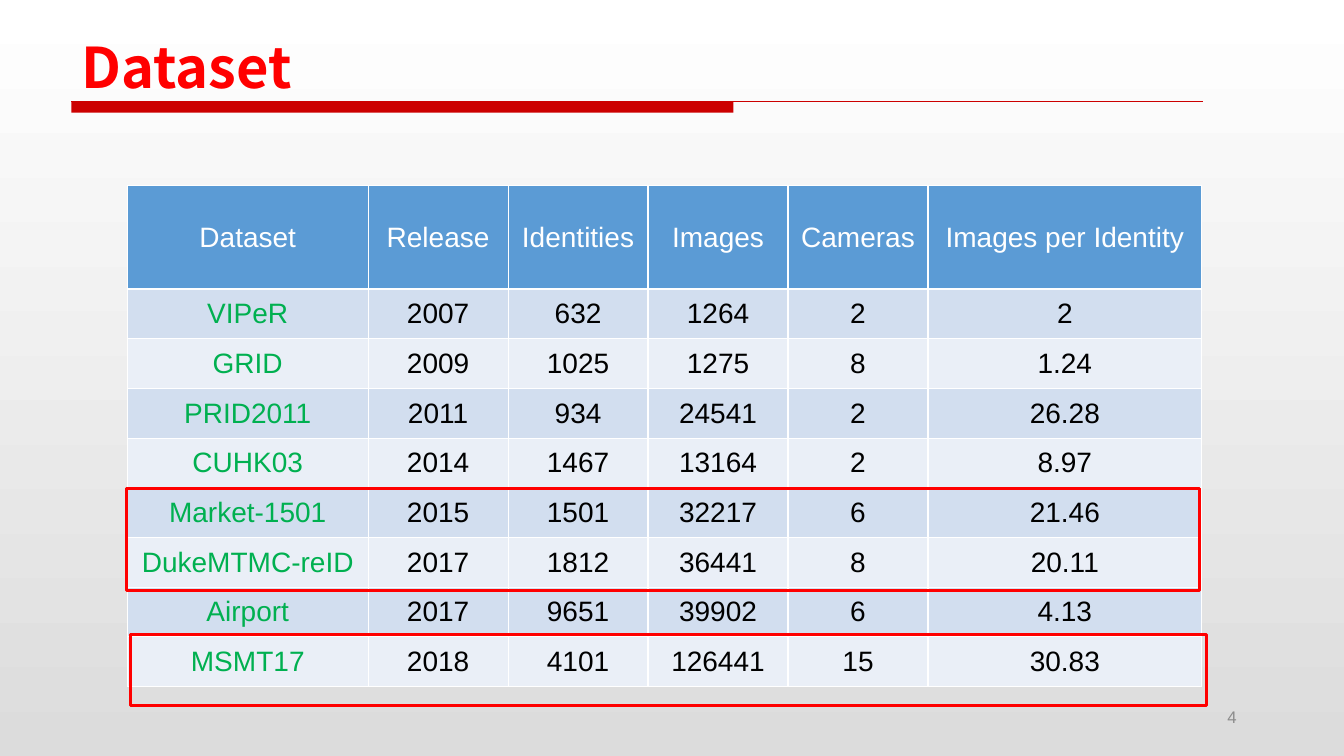
from pptx import Presentation
from pptx.dml.color import RGBColor
from pptx.enum.shapes import MSO_CONNECTOR as Connector, MSO_SHAPE as Shape
from pptx.enum.text import MSO_ANCHOR as Anchor, PP_ALIGN as Align
from pptx.oxml.ns import qn
from pptx.util import Pt
from lxml.etree import SubElement

COLORS = {
    "top": "FFFFFF", "bottom": "DCDCDC", "divider": "CC0000", "accent": "FF0000",
    "header": "5B9BD5", "odd": "D2DEEF", "even": "EAEFF7", "name": "00B050",
    "value": "000000", "header_text": "FFFFFF", "number": "8C8C8C",
}
TITLE = {"name": "Noto Sans CJK SC", "size": Pt(40), "bold": True}
NUMBER = {"name": "Arial", "size": Pt(12), "bold": False}
CELL = {"name": "Arial", "size": Pt(20), "bold": False}
COLUMN_WIDTHS = [172, 100, 100, 100, 100, 195.5]
HEADER_HEIGHT, ROW_HEIGHT = 74, 35.5
ROWS = [
    ["Dataset", "Release", "Identities", "Images", "Cameras", "Images per Identity"],
    ["VIPeR", "2007", "632", "1264", "2", "2"],
    ["GRID", "2009", "1025", "1275", "8", "1.24"],
    ["PRID2011", "2011", "934", "24541", "2", "26.28"],
    ["CUHK03", "2014", "1467", "13164", "2", "8.97"],
    ["Market-1501", "2015", "1501", "32217", "6", "21.46"],
    ["DukeMTMC-reID", "2017", "1812", "36441", "8", "20.11"],
    ["Airport", "2017", "9651", "39902", "6", "4.13"],
    ["MSMT17", "2018", "4101", "126441", "15", "30.83"],
]


def color(key):
    """Return the named colour."""
    return RGBColor.from_string(COLORS[key])


def write(frame, text, font_format, color_key, align, spacing=1.0):
    """Fill a text frame with one formatted paragraph."""
    paragraph = frame.paragraphs[0]
    paragraph.alignment = align
    paragraph.line_spacing = spacing
    run = paragraph.add_run()
    run.text = text
    for attribute, value in font_format.items():
        setattr(run.font, attribute, value)
    run.font.color.rgb = color(color_key)


def paint_background(slide):
    """Shade the slide from top to bottom."""
    fill = slide.background.fill
    fill.gradient()
    fill.gradient_angle = 270
    for stop, key in zip(fill.gradient_stops, ("top", "bottom")):
        stop.color.rgb = color(key)


def add_text(slide, box, anchor, *content):
    """Add a wrapped text box."""
    frame = slide.shapes.add_textbox(*map(Pt, box)).text_frame
    frame.word_wrap = True
    frame.vertical_anchor = anchor
    write(frame, *content)


def add_bar(slide, box):
    """Add a solid divider bar."""
    bar = slide.shapes.add_shape(Shape.RECTANGLE, *map(Pt, box))
    bar.shadow.inherit = False
    bar.fill.solid()
    bar.fill.fore_color.rgb = color("divider")
    bar.line.fill.background()


def add_rule(slide, left, right, top):
    """Add a thin horizontal divider line."""
    rule = slide.shapes.add_connector(
        Connector.STRAIGHT, Pt(left), Pt(top), Pt(right), Pt(top))
    rule.line.color.rgb = color("divider")
    rule.line.width = Pt(0.75)
    SubElement(rule.element.spPr, qn("a:effectLst"))


def add_highlight(slide, box):
    """Add an unfilled red frame."""
    frame = slide.shapes.add_shape(Shape.RECTANGLE, *map(Pt, box))
    frame.shadow.inherit = False
    frame.fill.background()
    frame.line.color.rgb = color("accent")
    frame.line.width = Pt(2.25)


def add_dataset_table(slide, left, top):
    """Add the table of datasets with banded rows."""
    height = HEADER_HEIGHT + ROW_HEIGHT * (len(ROWS) - 1)
    table = slide.shapes.add_table(
        len(ROWS), len(COLUMN_WIDTHS), Pt(left), Pt(top),
        Pt(sum(COLUMN_WIDTHS)), Pt(height)).table
    for column, width in zip(table.columns, COLUMN_WIDTHS):
        column.width = Pt(width)
    for row_index, texts in enumerate(ROWS):
        is_header = row_index == 0
        table.rows[row_index].height = Pt(HEADER_HEIGHT if is_header else ROW_HEIGHT)
        band = "header" if is_header else "odd" if row_index % 2 else "even"
        for column_index, text in enumerate(texts):
            cell = table.cell(row_index, column_index)
            cell.vertical_anchor = Anchor.MIDDLE
            cell.fill.solid()
            cell.fill.fore_color.rgb = color(band)
            body = "value" if column_index else "name"
            write(cell.text_frame, text, CELL,
                  "header_text" if is_header else body, Align.CENTER)


def main():
    """Build and save the dataset slide."""
    presentation = Presentation()
    presentation.slide_width, presentation.slide_height = Pt(960), Pt(540)
    slide = presentation.slides.add_slide(presentation.slide_layouts[6])
    paint_background(slide)
    add_text(slide, (678, 499.5, 212.5, 25), Anchor.MIDDLE,
             "4", NUMBER, "number", Align.RIGHT)
    add_bar(slide, (51, 72.5, 473, 8))
    add_rule(slide, 51, 859, 72.5)
    add_text(slide, (51, 25, 785.5, 55.5), Anchor.TOP,
             "Dataset", TITLE, "accent", Align.LEFT, 0.9)
    add_dataset_table(slide, 91, 132.5)
    add_highlight(slide, (90.5, 349, 766, 73))
    add_highlight(slide, (93, 453, 769, 51))
    presentation.save("out.pptx")


if __name__ == "__main__":
    main()
